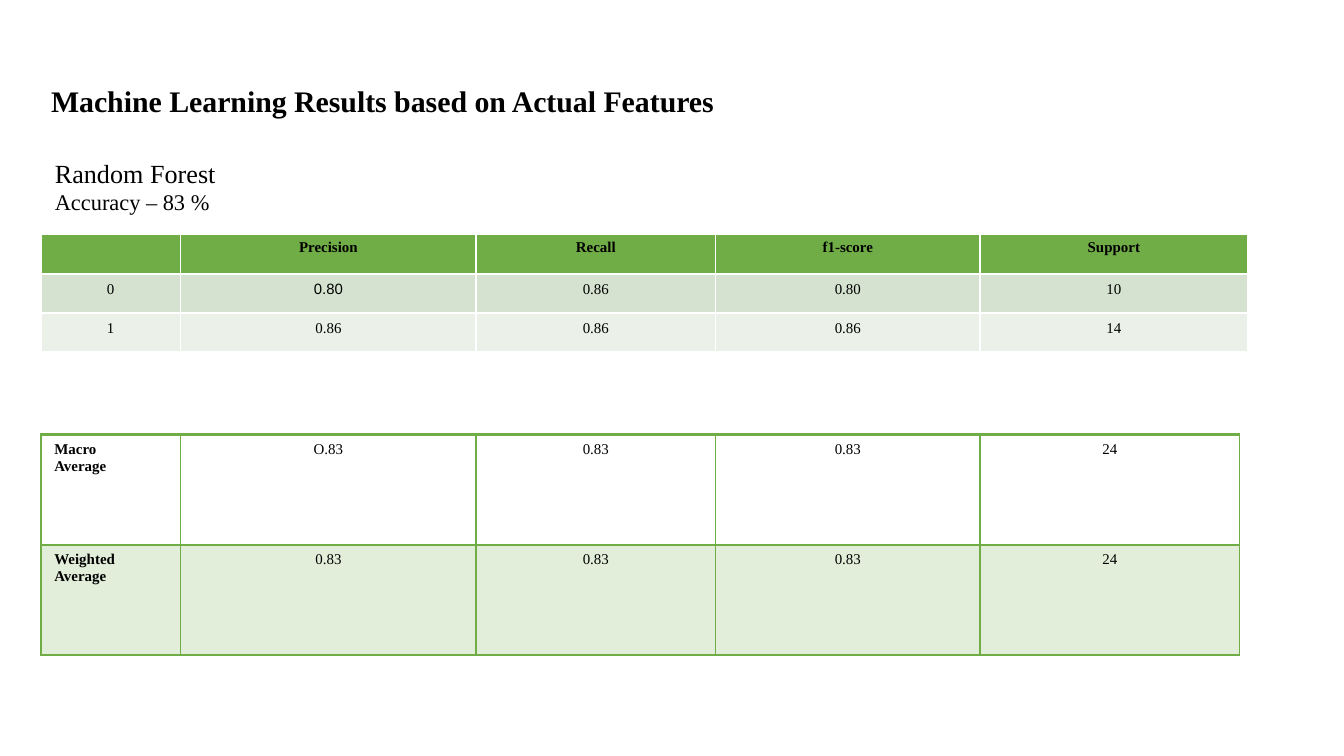
from lxml.etree import SubElement as Sub
from pptx import Presentation as Deck
from pptx.dml.color import RGBColor as Rgb
from pptx.enum.text import MSO_ANCHOR as Anchor, PP_ALIGN as Align
from pptx.oxml.ns import qn
from pptx.util import Inches, Pt

WIDE = 10
HIGH = WIDE * 9 / 16
SERIF = "Times New Roman"
GREEN, WHITE = "70AD47", "FFFFFF"
COLS = [1.04, 2.2, 1.78, 1.97]
SCORES = [
    ["", "Precision", "Recall", "f1-score", "Support"],
    ["0", "0.80", "0.86", "0.80", "10"],
    ["1", "0.86", "0.86", "0.86", "14"],
]
MEANS = [
    ["Macro\nAverage", "O.83", "0.83", "0.83", "24"],
    ["Weighted\nAverage", "0.83", "0.83", "0.83", "24"],
]


def color(code):
    return Rgb.from_string(code)


def apply(item, form):
    for name, value in form.items():
        setattr(item, name, value)


def place(x, y, w, h):
    shares = zip((x, y, w, h), (WIDE, HIGH) * 2)
    return [Inches(part * full / 100) for part, full in shares]


def write(frame, lines, form, align=Align.LEFT, space=None):
    for i, (text, size) in enumerate(lines):
        para = frame.add_paragraph() if i else frame.paragraphs[0]
        apply(para, {"alignment": align, "line_spacing": space})
        if text:
            run = para.add_run()
            run.text = text
            apply(run.font, {"name": SERIF, "size": Pt(size), **form})
            run.font.color.rgb = color("000000")
        else:
            Sub(para._p, qn("a:endParaRPr"), sz=str(size * 100))


def label(slide, area, lines, form, pad, anchor, space=None):
    frame = slide.shapes.add_textbox(*place(*area)).text_frame
    side, edge = map(Inches, pad)
    apply(frame, {
        "word_wrap": True, "vertical_anchor": anchor,
        "margin_left": side, "margin_right": side,
        "margin_top": edge, "margin_bottom": edge,
    })
    write(frame, lines, form, space=space)


def border(cell, code, top):
    props = cell._tc.get_or_add_tcPr()
    for side in "LRTB":
        width = top if side == "T" else 0.96
        line = Sub(props, qn(f"a:ln{side}"), w=str(Pt(width)))
        Sub(Sub(line, qn("a:solidFill")), qn("a:srgbClr"), val=code)


def paint(cell, code, alpha):
    if not code:
        cell.fill.background()
        return
    cell.fill.solid()
    cell.fill.fore_color.rgb = color(code)
    if alpha < 100:
        tone = cell._tc.tcPr.find(qn("a:solidFill"))[0]
        Sub(tone, qn("a:alpha"), val=str(alpha * 1000))


def grid(slide, x, y, cols, highs, rows, fills, line, top, bold, alpha=100):
    area = place(x, y, sum(cols) * 100 / WIDE, sum(highs) * 100 / HIGH)
    table = slide.shapes.add_table(len(rows), len(cols), *area).table
    apply(table, {"first_row": False, "horz_banding": False})
    for col, wide in zip(table.columns, cols):
        col.width = Inches(wide)
    for r, row in enumerate(rows):
        table.rows[r].height = Inches(highs[r])
        for c, text in enumerate(row):
            cell = table.cell(r, c)
            border(cell, line, top if r == 0 else 0.96)
            paint(cell, fills[r], alpha)
            lines = [(part, 8) for part in text.split("\n")]
            align = Align.LEFT if len(lines) > 1 else Align.CENTER
            write(cell.text_frame, lines, {"bold": bold(r, c)}, align)
    return table


def main():
    deck = Deck()
    apply(deck, {"slide_width": Inches(WIDE), "slide_height": Inches(HIGH)})
    slide = deck.slides.add_slide(deck.slide_layouts[6])
    label(slide, (3.1, 10.1, 86.2, 6.93),
          [("Machine Learning Results based on Actual Features", 16)],
          {"bold": True}, (0.07, 0.04), Anchor.MIDDLE, 0.9)
    scores = grid(slide, 3.04, 30.76, COLS + [1.99], [0.31, 0.29, 0.29],
                  SCORES, [GREEN, "D4E2CF", "EBF1E8"], WHITE, 3,
                  lambda r, c: r == 0)
    scores.cell(1, 1).text_frame.paragraphs[0].runs[0].font.name = "Arial"
    grid(slide, 3.04, 57.5, COLS + [1.93], [0.82] * 2, MEANS,
         [None, GREEN], GREEN, 1.98, lambda r, c: c == 0, 20)
    label(slide, (3.1, 19.9, 20.8, 9.42),
          [("Random Forest", 14), ("Accuracy – 83 %", 12)],
          {}, (0.1, 0.05), Anchor.TOP)
    deck.save("out.pptx")


if __name__ == "__main__":
    main()
